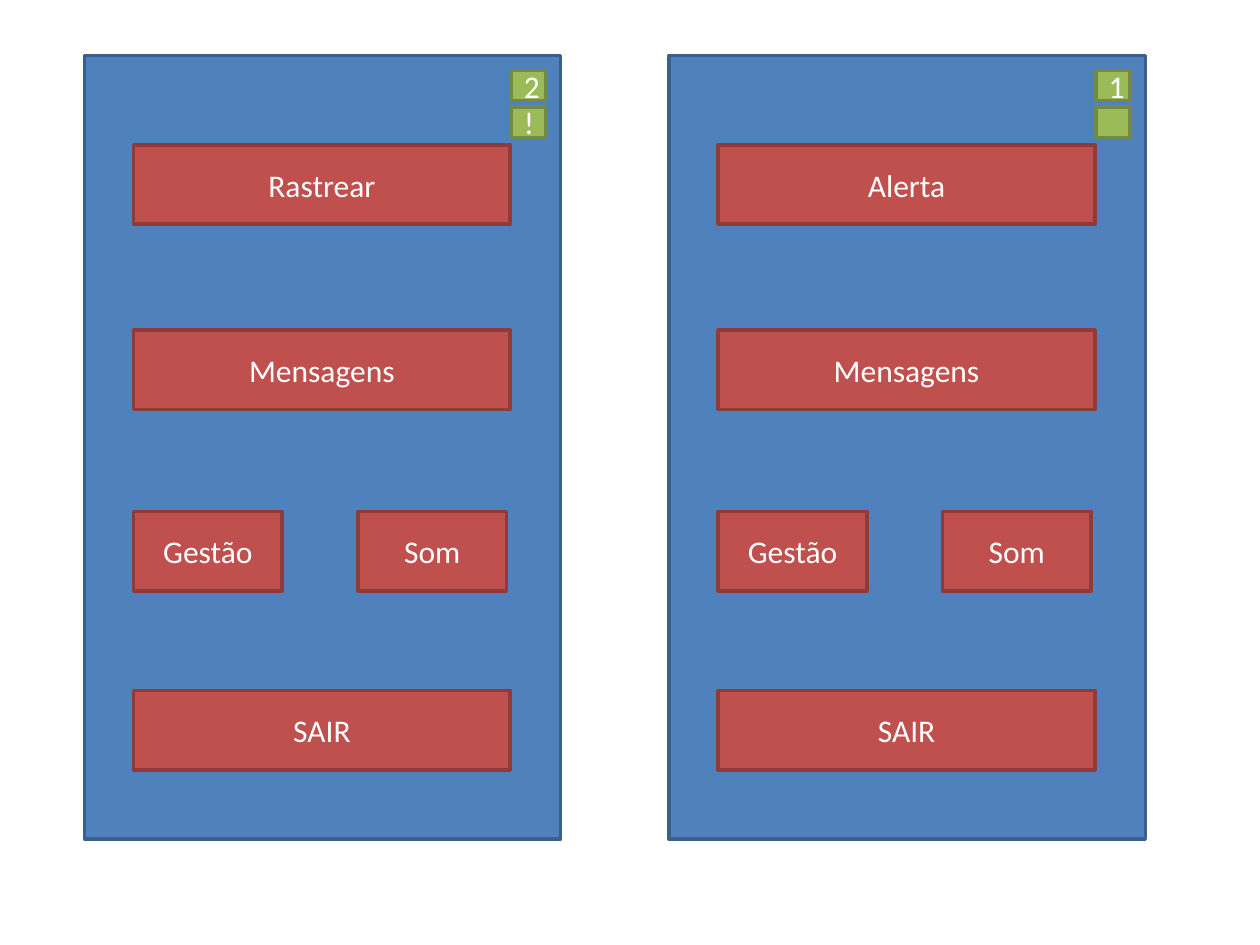
from dataclasses import dataclass

from pptx import Presentation
from pptx import util as u
from pptx.dml.color import RGBColor
from pptx.enum import shapes, text


@dataclass(frozen=True)
class Theme:
    # (fill, line) for each kind of box
    panel: tuple = ("4F81BD", "3A5F8C")
    button: tuple = ("C0504D", "8E3B39")
    badge: tuple = ("9BBB59", "738A42")
    ink: str = "FFFFFF"
    face: str = "Calibri"
    size: int = 18
    edge: int = 2


class Deck:
    def __init__(self, slide, theme):
        self.slide = slide
        self.theme = theme

    def box(self, x, y, w, h, tones, label=""):
        fill, line = (RGBColor.from_string(tone) for tone in tones)
        rect = self.slide.shapes.add_shape(
            shapes.MSO_SHAPE.RECTANGLE, *map(u.Inches, (x, y, w, h)))
        rect.shadow.inherit = False
        rect.fill.solid()
        rect.fill.fore_color.rgb = fill
        rect.line.color.rgb = line
        rect.line.width = u.Pt(self.theme.edge)
        if label:
            self.label(rect.text_frame, label)

    def label(self, frame, words):
        frame.vertical_anchor = text.MSO_ANCHOR.MIDDLE
        para = frame.paragraphs[0]
        para.alignment = text.PP_ALIGN.CENTER
        run = para.add_run()
        run.text = words
        style = {"name": self.theme.face, "size": u.Pt(self.theme.size)}
        for key, value in style.items():
            setattr(run.font, key, value)
        run.font.color.rgb = RGBColor.from_string(self.theme.ink)

    def panel(self, x):
        self.box(x, 0.44, 3.78, 6.22, self.theme.panel)

    def button(self, x, y, w, label):
        self.box(x, y, w, 0.63, self.theme.button, label)

    def badge(self, x, y, label):
        self.box(x, y, 0.27, 0.24, self.theme.badge, label)

    def phone(self, x, title, badges):
        self.panel(x)

        # Menu: rows of one wide or two narrow buttons
        rows = {1.15: [title], 2.62: ["Mensagens"],
                4.06: ["Gestão", "Som"], 5.48: ["SAIR"]}
        for y, labels in rows.items():
            width = 2.99 if len(labels) == 1 else 1.18
            for col, label in enumerate(labels):
                self.button(x + 0.39 + col * 1.78, y, width, label)

        # Status badges in the top right corner
        for row, label in enumerate(badges):
            self.badge(x + 3.39, 0.56 + row * 0.29, label)


def main():
    prs = Presentation()
    prs.slide_width, prs.slide_height = u.Inches(10), u.Inches(7.5)
    deck = Deck(prs.slides.add_slide(prs.slide_layouts[6]), Theme())

    # Two app screens side by side
    deck.phone(0.67, "Rastrear", ["2", "!"])
    deck.phone(5.31, "Alerta", ["1", ""])

    prs.save("out.pptx")


if __name__ == "__main__":
    main()
